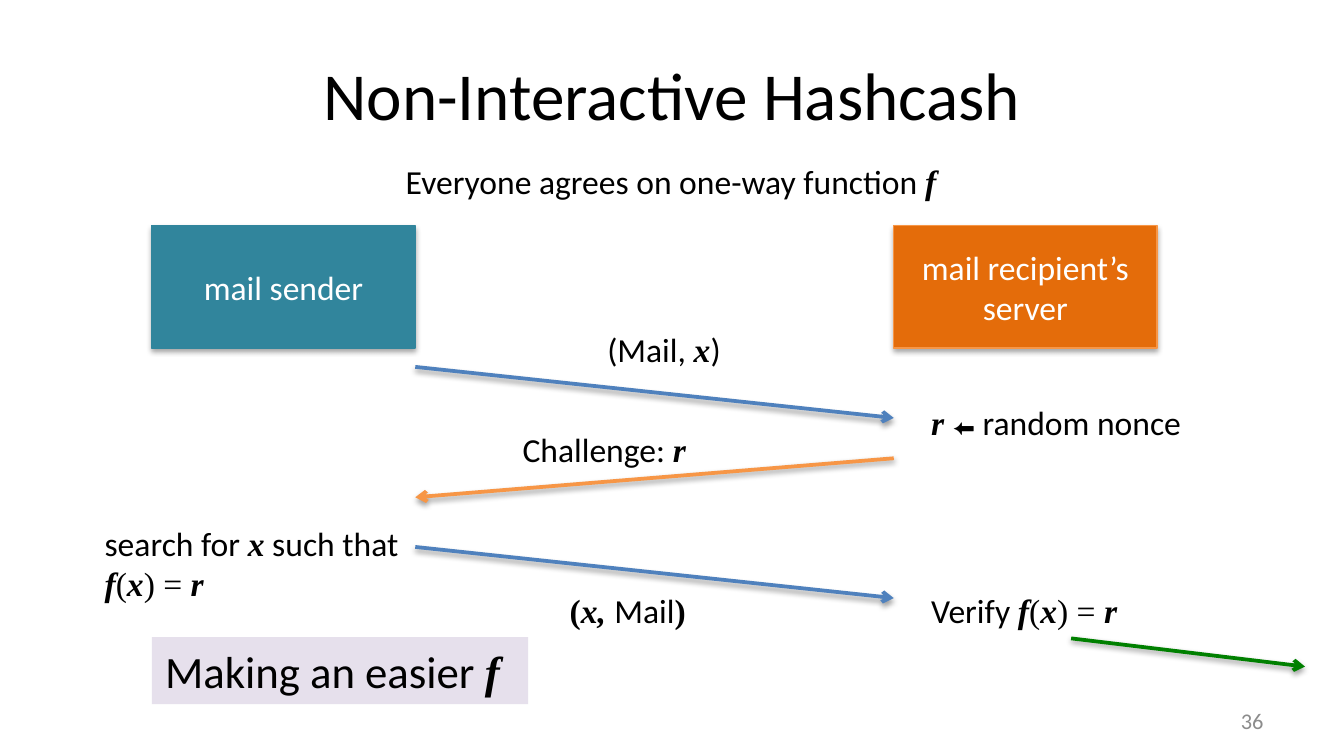
import pptx
import pptx.dml.color
import pptx.enum.shapes
import pptx.enum.text
import pptx.oxml
import pptx.oxml.ns
import pptx.util
from pptx.util import Inches

ALIGN = pptx.enum.text.PP_ALIGN
ANCHOR = pptx.enum.text.MSO_ANCHOR

SLIDE_WIDTH = 10
SLIDE_HEIGHT = SLIDE_WIDTH * 9 / 16

THEME = {
    "black": "000000", "white": "FFFFFF", "grey": "8C8C8C",
    "sender": "31859C", "server": "E46C0A", "server_edge": "F79646",
    "mail": "4F81BD", "challenge": "F79646", "accept": "008000",
    "callout": "E6E0EC",
    "title_size": 36, "callout_size": 24, "body_size": 18, "small_size": 12,
}

# Run styles: font, bold, italic, size (None keeps the paragraph's size)
STYLES = {
    "plain": ("Calibri", False, False, None),
    "math": ("Times New Roman", False, False, None),
    "bold": ("Times New Roman", True, False, None),
    "var": ("Times New Roman", True, True, None),
    "symbol": ("Arial", False, False, THEME["small_size"]),
}

# Each paragraph is a list of (text, style) runs
EQUATION = [("f", "var"), ("(", "math"), ("x", "var"), (") = ", "math"), ("r", "var")]

HEADING = ((0.5, 0.23, 9, 0.94), [[("Non-Interactive Hashcash", "plain")]])
PAGE_NUMBER = ((7.17, 5.21, 2.33, 0.3), [[("36", "plain")]])
CALLOUT = ((1.13, 4.74, 2.8, 0.5), [[("Making an easier ", "plain"), ("f", "var")]])

SENDER_LEFT, SERVER_LEFT, PARTY_TOP = 1.13, 6.65, 1.68
PARTY_WIDTH, PARTY_HEIGHT = 1.96, 0.91
PARTIES = [
    ("mail sender", SENDER_LEFT, "sender", "sender"),
    ("mail recipient’s server", SERVER_LEFT, "server", "server_edge"),
]

SENDER_EDGE = SENDER_LEFT + PARTY_WIDTH
MESSAGES = [
    ((SENDER_EDGE, 2.73), (SERVER_LEFT, 3.11), "mail"),
    ((SERVER_LEFT, 3.41), (SENDER_EDGE, 3.7), "challenge"),
    ((SENDER_EDGE, 4.07), (SERVER_LEFT, 4.45), "mail"),
    ((7.97, 4.75), (9.71, 4.96), "accept"),
]

LABELS = [
    ((2.92, 1.15, 4.27, 0.4),
     [[("Everyone agrees on one-way function ", "plain"), ("f", "var")]]),
    ((4.42, 2.4, 1.05, 0.4), [[("(Mail, ", "plain"), ("x", "var"), (")", "plain")]]),
    ((3.79, 3.14, 1.5, 0.4), [[("Challenge: ", "plain"), ("r", "var")]]),
    ((6.83, 2.94, 2.12, 0.4),
     [[("r ", "var"), ("⬅", "symbol"), (" random nonce", "plain")]]),
    ((0.68, 3.84, 2.49, 0.71),
     [[("search for ", "plain"), ("x", "var"), (" such that", "plain")], EQUATION]),
    ((4.14, 4.34, 1.08, 0.4),
     [[("(", "bold"), ("x, ", "var"), ("Mail", "plain"), (")", "bold")]]),
    ((6.83, 4.34, 1.68, 0.4), [[("Verify ", "plain"), *EQUATION]]),
]


def color(name):
    return pptx.dml.color.RGBColor.from_string(THEME[name])


def add_shadow(shape, opacity, distance):
    """Append a soft black shadow falling straight down; distance is in points."""
    shape._element.spPr.append(pptx.oxml.parse_xml(
        f'<a:effectLst {pptx.oxml.ns.nsdecls("a")}>'
        f'<a:outerShdw blurRad="{pptx.util.Pt(3.1)}" dist="{pptx.util.Pt(distance)}"'
        ' dir="5400000" rotWithShape="0"><a:srgbClr val="000000">'
        f'<a:alpha val="{opacity * 1000}"/></a:srgbClr></a:outerShdw></a:effectLst>'))


def write(shape, paragraphs, size="body_size", ink="black", align=ALIGN.LEFT,
          anchor=ANCHOR.TOP, wrap=False):
    frame = shape.text_frame
    frame.word_wrap = wrap
    frame.vertical_anchor = anchor
    for index, runs in enumerate(paragraphs):
        paragraph = frame.add_paragraph() if index else frame.paragraphs[0]
        paragraph.alignment = align
        paragraph.font.size = pptx.util.Pt(THEME[size])
        paragraph.font.color.rgb = color(ink)
        styles = {style for _, style in runs}
        for text, style in runs:
            run = paragraph.add_run()
            run.text = text
            target = paragraph.font if len(styles) == 1 else run.font
            target.name, target.bold, target.italic, own_size = STYLES[style]
            if own_size:
                target.size = pptx.util.Pt(own_size)


def add_text(slide, box, paragraphs, **options):
    write(slide.shapes.add_textbox(*map(Inches, box)), paragraphs, **options)


def add_box(slide, box, fill):
    shape = slide.shapes.add_shape(
        pptx.enum.shapes.MSO_SHAPE.RECTANGLE, *map(Inches, box))
    shape.fill.solid()
    shape.fill.fore_color.rgb = color(fill)
    return shape


def add_party(slide, name, left, fill, edge):
    party = add_box(slide, (left, PARTY_TOP, PARTY_WIDTH, PARTY_HEIGHT), fill)
    party.line.color.rgb = color(edge)
    party.line.width = pptx.util.Pt(0.75)
    add_shadow(party, 35, 1.8)
    write(party, [[(name, "plain")]], ink="white", align=ALIGN.CENTER,
          anchor=ANCHOR.MIDDLE, wrap=True)


def add_message(slide, start, end, ink):
    arrow = slide.shapes.add_connector(
        pptx.enum.shapes.MSO_CONNECTOR.STRAIGHT, *map(Inches, start + end))
    arrow.line.color.rgb = color(ink)
    arrow.line.width = pptx.util.Pt(2)
    arrow.line._get_or_add_ln().append(pptx.oxml.parse_xml(
        f'<a:tailEnd {pptx.oxml.ns.nsdecls("a")} type="arrow"/>'))
    add_shadow(arrow, 38, 1.6)


def add_callout(slide, box, paragraphs):
    callout = add_box(slide, box, "callout")
    callout.line.fill.background()
    callout.shadow.inherit = False
    write(callout, paragraphs, size="callout_size")


def main():
    deck = pptx.Presentation()
    deck.slide_width, deck.slide_height = Inches(SLIDE_WIDTH), Inches(SLIDE_HEIGHT)
    slide = deck.slides.add_slide(deck.slide_layouts[6])

    add_text(slide, *HEADING, size="title_size", align=ALIGN.CENTER,
             anchor=ANCHOR.MIDDLE, wrap=True)
    add_text(slide, *PAGE_NUMBER, size="small_size", ink="grey", align=ALIGN.RIGHT,
             anchor=ANCHOR.MIDDLE, wrap=True)
    for party in PARTIES:
        add_party(slide, *party)
    for message in MESSAGES:
        add_message(slide, *message)
    for label in LABELS:
        add_text(slide, *label)
    add_callout(slide, *CALLOUT)
    deck.save("out.pptx")


if __name__ == "__main__":
    main()
